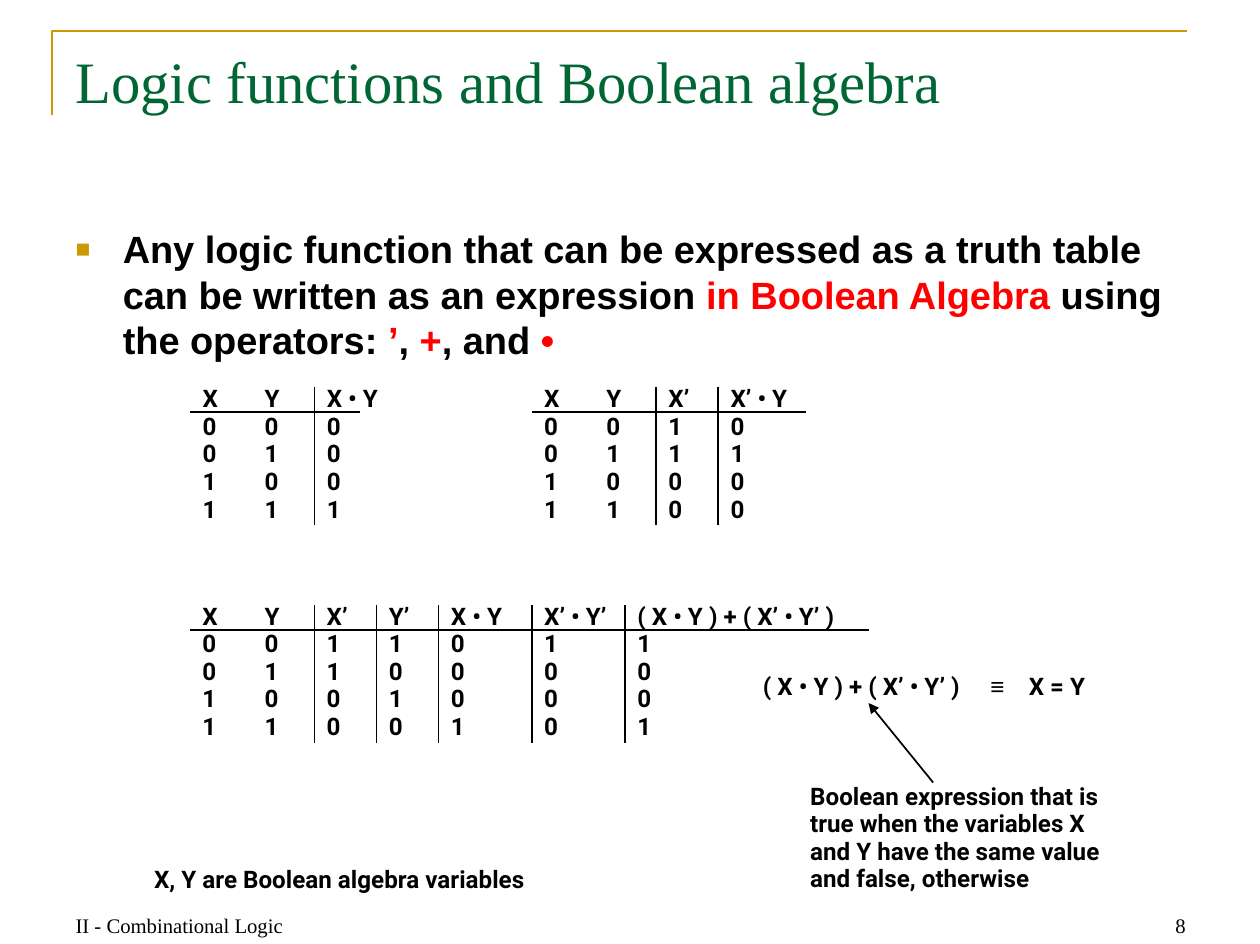
from dataclasses import dataclass

from lxml.etree import SubElement
from pptx import Presentation
from pptx.dml.color import RGBColor
from pptx.enum.shapes import MSO_CONNECTOR
from pptx.enum.text import MSO_ANCHOR, PP_ALIGN
from pptx.oxml.ns import qn
from pptx.slide import Slide
from pptx.util import Inches, Pt

COLORS = {"black": "000000", "red": "FF0000", "green": "006633", "gold": "CC9900"}
TITLE = {"name": "Times New Roman", "size": Pt(34)}
FOOTER = {"name": "Times New Roman", "size": Pt(12)}
BODY = {"name": "Arial", "size": Pt(22), "bold": True}
LABEL = {"name": "Roboto", "size": Pt(14), "bold": True}
WIDE_MARGINS = (0.1, 0.05)
TIGHT_MARGINS = (0.02, 0.03)
BAR_GAP = 0.08


@dataclass
class Span:
    text: str
    color: str = "black"
    font: str = ""


@dataclass
class TextBlock:
    left: float
    top: float
    width: float
    height: float
    lines: list[list[Span]]
    style: dict
    margins: tuple[float, float] = WIDE_MARGINS
    anchor: MSO_ANCHOR = MSO_ANCHOR.TOP
    align: PP_ALIGN = PP_ALIGN.LEFT
    line_points: int = 0
    stops: tuple[float, ...] = ()
    bullet: str = ""


@dataclass
class TruthTable:
    left: float
    top: float
    width: float
    rule_end: float
    stops: tuple[float, ...]
    headers: tuple[str, ...]
    rows: tuple[str, ...]


TRUTH_TABLES = [
    TruthTable(1.61, 3.07, 1.85, 2.9, (0.5, 1), ("X", "Y", "X • Y"),
               ("000", "010", "100", "111")),
    TruthTable(4.36, 3.07, 2.5, 6.49, (0.5, 1, 1.5), ("X", "Y", "X’", "X’ • Y"),
               ("0010", "0111", "1000", "1100")),
    TruthTable(1.61, 4.82, 5.43, 6.99, (0.5, 1, 1.5, 2, 2.75, 3.5),
               ("X", "Y", "X’", "Y’", "X • Y", "X’ • Y’", "( X • Y ) + ( X’ • Y’ )"),
               ("0011011", "0110000", "1001000", "1100101")),
]


def label(left: float, top: float, width: float, height: float,
          lines: list[list[Span]], stops: tuple[float, ...] = ()) -> TextBlock:
    return TextBlock(left, top, width, height, lines, LABEL, TIGHT_MARGINS,
                     line_points=16, stops=stops)


TEXT_BLOCKS = [
    TextBlock(0.51, 0.31, 9.12, 1.26,
              [[Span("Logic functions and Boolean algebra", "green")]], TITLE),
    TextBlock(0.51, 1.77, 9.12, 5.02, [[
        Span("Any logic function that can be expressed as a truth table "
             "can be written as an expression "),
        Span("in Boolean Algebra ", "red"),
        Span("using the operators: "),
        Span("’", "red"), Span(","), Span(" +", "red"), Span(", and "), Span("•", "red"),
    ]], BODY, bullet="■"),
    TextBlock(0.51, 7.09, 2.37, 0.51, [[Span("II - Combinational Logic")]], FOOTER,
              anchor=MSO_ANCHOR.BOTTOM),
    TextBlock(7.27, 7.09, 2.37, 0.51, [[Span("8")]], FOOTER,
              anchor=MSO_ANCHOR.BOTTOM, align=PP_ALIGN.RIGHT),
    label(1.22, 6.94, 3.65, 0.36, [[Span("X, Y are Boolean algebra variables")]]),
    label(6.12, 5.39, 2.97, 0.36,
          [[Span("( X • Y ) + ( X’ • Y’ )\t"), Span("≡", font="Arial"), Span("\tX = Y")]],
          (1.83, 2.14)),
    label(6.5, 6.27, 2.88, 1.03, [[Span(line)] for line in (
        "Boolean expression that is", "true when the variables X",
        "and Y have the same value", "and false, otherwise")]),
]


def add_text(page: Slide, block: TextBlock) -> None:
    box = page.shapes.add_textbox(*map(Inches, (block.left, block.top, block.width, block.height)))
    frame = box.text_frame
    across, down = map(Inches, block.margins)
    layout = {"word_wrap": True, "vertical_anchor": block.anchor, "margin_left": across,
              "margin_right": across, "margin_top": down, "margin_bottom": down}
    for name, value in layout.items():
        setattr(frame, name, value)
    for index, line in enumerate(block.lines):
        para = frame.add_paragraph() if index else frame.paragraphs[0]
        properties = para._p.get_or_add_pPr()
        if block.bullet:
            properties.set("marL", str(Inches(0.38)))
            properties.set("indent", str(Inches(-0.38)))
            tint = SubElement(properties, qn("a:buClr"))
            SubElement(tint, qn("a:srgbClr"), val=COLORS["gold"])
            SubElement(properties, qn("a:buSzPct"), val="65000")
            SubElement(properties, qn("a:buFont"), typeface="Arial")
            SubElement(properties, qn("a:buChar"), char=block.bullet)
        if block.stops:
            tabs = SubElement(properties, qn("a:tabLst"))
            for stop in block.stops:
                SubElement(tabs, qn("a:tab"), pos=str(Inches(stop)), algn="l")
        para.alignment = block.align
        if block.line_points:
            para.line_spacing = Pt(block.line_points)
        for span in line:
            run = para.add_run()
            run.text = span.text
            for name, value in block.style.items():
                setattr(run.font, name, value)
            if span.font:
                run.font.name = span.font
            run.font.color.rgb = RGBColor.from_string(COLORS[span.color])


def add_line(page: Slide, start: tuple[float, float], end: tuple[float, float],
             arrow: bool = False) -> None:
    line = page.shapes.add_connector(MSO_CONNECTOR.STRAIGHT, *map(Inches, (*start, *end)))
    line.line.width = Pt(1)
    line.line.color.rgb = RGBColor.from_string(COLORS["black"])
    if arrow:
        SubElement(line.line._get_or_add_ln(), qn("a:tailEnd"), type="triangle")
    SubElement(line._element.spPr, qn("a:effectLst"))


def add_truth_table(page: Slide, table: TruthTable) -> None:
    lines = [[Span("\t".join(row))] for row in (table.headers, *table.rows)]
    add_text(page, label(table.left, table.top, table.width, 1.25, lines, table.stops))
    rule = table.top + 0.25
    add_line(page, (table.left - BAR_GAP, rule), (table.rule_end, rule))
    for stop in table.stops[1:]:
        bar = table.left + stop - BAR_GAP
        add_line(page, (bar, table.top + 0.05), (bar, table.top + 1.16))


def add_title_frame(page: Slide) -> None:
    builder = page.shapes.build_freeform(Inches(0.42), Inches(0.93))
    corners = [(0.42, 0.25), (9.55, 0.25)]
    builder.add_line_segments([(Inches(x), Inches(y)) for x, y in corners], close=False)
    frame = builder.convert_to_shape()
    frame.shadow.inherit = False
    frame.fill.background()
    frame.line.width = Pt(1.5)
    frame.line.color.rgb = RGBColor.from_string(COLORS["gold"])


def main() -> None:
    """Build the slide on logic functions and Boolean algebra."""
    deck = Presentation()
    deck.slide_width, deck.slide_height = Inches(10.14), Inches(7.6)
    page = deck.slides.add_slide(deck.slide_layouts[6])
    add_title_frame(page)
    for block in TEXT_BLOCKS:
        add_text(page, block)
    for table in TRUTH_TABLES:
        add_truth_table(page, table)
    add_line(page, (7.51, 6.3), (6.99, 5.66), arrow=True)
    deck.save("out.pptx")


if __name__ == "__main__":
    main()
